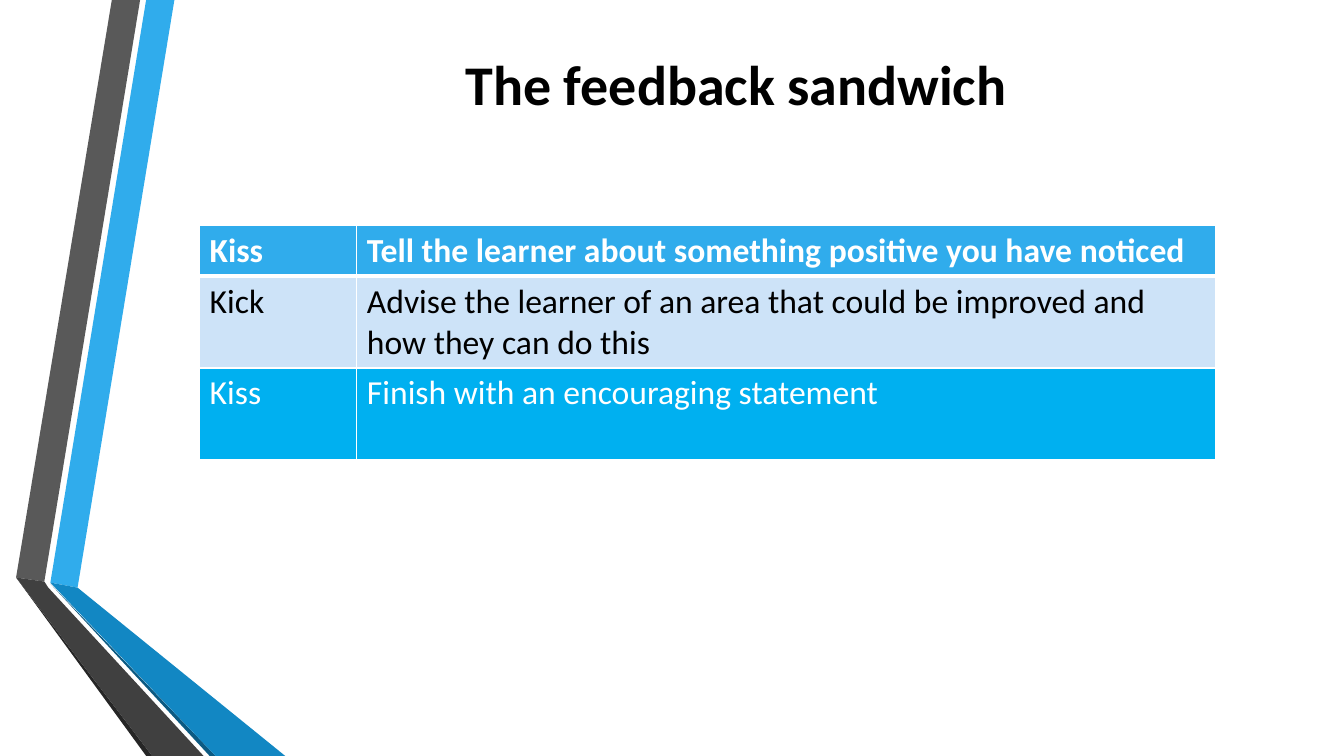
from lxml.etree import SubElement
from pptx import Presentation
from pptx.dml.color import RGBColor
from pptx.enum.text import MSO_ANCHOR, PP_ALIGN
from pptx.oxml.ns import qn
from pptx.util import Inches, Pt

FONT = "Calibri"
WHITE = RGBColor(0xFF, 0xFF, 0xFF)
BLACK = RGBColor(0x00, 0x00, 0x00)
SKY = RGBColor(0x30, 0xAC, 0xEC)
BLUE = RGBColor(0x12, 0x87, 0xC3)
NAVY = RGBColor(0x0C, 0x5A, 0x82)
PALE = RGBColor(0xCD, 0xE3, 0xF8)
CYAN = RGBColor(0x00, 0xB0, 0xF0)
GRAY = RGBColor(0x59, 0x59, 0x59)
DARK = RGBColor(0x40, 0x40, 0x40)
SHADE = RGBColor(0x26, 0x26, 0x26)

RIBBONS = [
    (SKY, [(0.34, 5.78), (0.61, 5.83), (1.57, 0), (1.29, 0)]),
    (GRAY, [(1.23, 0), (0.95, 0), (0, 5.73), (0.28, 5.77)]),
    (SHADE, [(0, 5.73), (1.29, 7.5), (1.35, 7.5)]),
    (NAVY, [(0.34, 5.79), (1.92, 7.5), (1.98, 7.5)]),
    (BLUE, [(0.34, 5.78), (1.98, 7.5), (2.67, 7.5), (0.61, 5.83)]),
    (DARK, [(1.86, 7.5), (0.32, 5.83), (0.28, 5.77), (0, 5.73), (1.35, 7.5)]),
]
SANDWICH = [
    ("Kiss", "Tell the learner about something positive you have noticed",
     SKY, WHITE, True, 0.5),
    ("Kick", "Advise the learner of an area that could be improved and how they can do this",
     PALE, BLACK, False, 0.91),
    ("Kiss", "Finish with an encouraging statement", CYAN, WHITE, False, 0.91),
]


def format_text(p, size, color, bold):
    """Format every run of a paragraph."""
    for r in p.runs:
        r.font.name = FONT
        r.font.size = Pt(size)
        r.font.bold = bold
        r.font.color.rgb = color


def add_ribbons(slide, left, top):
    """Draw the folded ribbons from the given corner."""
    for color, points in RIBBONS:
        corners = [(Inches(left + x), Inches(top + y)) for x, y in points]
        builder = slide.shapes.build_freeform(*corners[0])
        builder.add_line_segments(corners[1:], close=True)
        sp = builder.convert_to_shape()
        sp.shadow.inherit = False
        sp.fill.solid()
        sp.fill.fore_color.rgb = color
        sp.line.fill.background()


def add_title(slide, left, top, width, height):
    """Place the centred title in its box."""
    box = slide.shapes.add_textbox(
        Inches(left), Inches(top), Inches(width), Inches(height))
    tf = box.text_frame
    tf.word_wrap = True
    tf.vertical_anchor = MSO_ANCHOR.MIDDLE
    p = tf.paragraphs[0]
    p.text = "The feedback sandwich"
    p.alignment = PP_ALIGN.CENTER
    format_text(p, 40, BLACK, True)


def set_borders(cell, top, bottom):
    """Give a cell white borders of the given top and bottom widths."""
    tc_pr = cell._tc.get_or_add_tcPr()
    for side, width in (("L", 1), ("R", 1), ("T", top), ("B", bottom)):
        ln = SubElement(tc_pr, qn(f"a:ln{side}"), w=str(Pt(width)))
        fill = SubElement(ln, qn("a:solidFill"))
        SubElement(fill, qn("a:srgbClr"), val=str(WHITE))


def add_sandwich_table(slide, left, top, width, label_width):
    """Place the table of feedback steps."""
    height = sum(row[-1] for row in SANDWICH)
    table = slide.shapes.add_table(
        len(SANDWICH), 2, Inches(left), Inches(top),
        Inches(width), Inches(height)).table
    table.columns[0].width = Inches(label_width)
    table.columns[1].width = Inches(width - label_width)
    for i, (label, advice, fill, color, bold, row_height) in enumerate(SANDWICH):
        table.rows[i].height = Inches(row_height)
        for cell, text in zip(table.rows[i].cells, (label, advice)):
            set_borders(cell, 3 if i == 1 else 1, 3 if i == 0 else 1)
            cell.fill.solid()
            cell.fill.fore_color.rgb = fill
            cell.text_frame.text = text
            format_text(cell.text_frame.paragraphs[0], 24, color, bold)


def main():
    """Build the slide and save it."""
    prs = Presentation()
    prs.slide_width = Inches(13.33)
    prs.slide_height = Inches(7.5)
    slide = prs.slides.add_slide(prs.slide_layouts[6])
    add_ribbons(slide, 0.16, 0)
    add_title(slide, 1.59, 0.36, 11.42, 0.93)
    add_sandwich_table(slide, 1.98, 2.24, 10.08, 1.56)
    prs.save("out.pptx")


if __name__ == "__main__":
    main()
